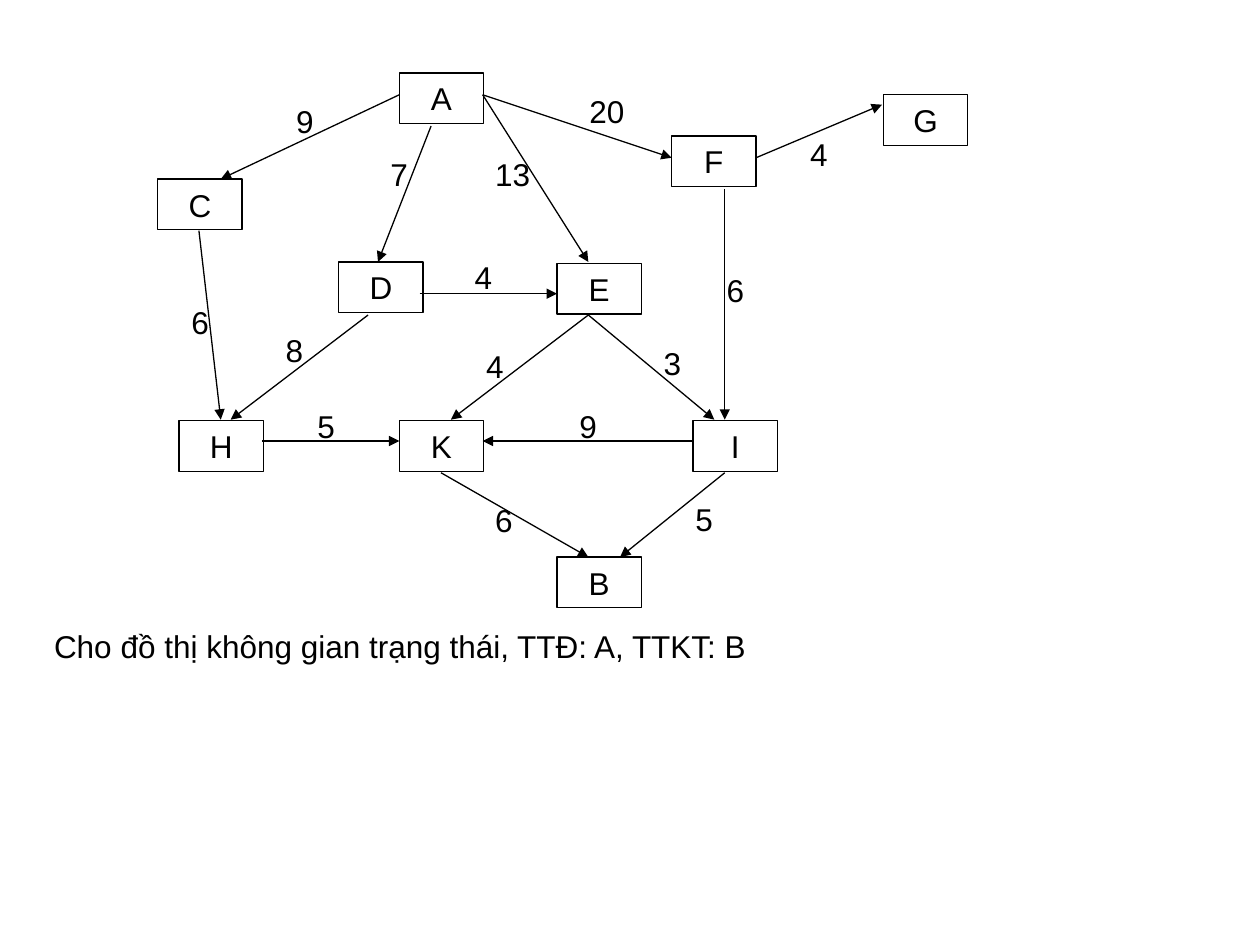
from pptx import Presentation
from pptx.dml.color import RGBColor
from pptx.enum.shapes import MSO_CONNECTOR as Connector, MSO_SHAPE as Shape
from pptx.enum.text import MSO_AUTO_SIZE as AutoSize, PP_ALIGN as Align
from pptx.oxml.ns import qn
from pptx.util import Cm, Pt
from lxml.etree import SubElement

COLORS = {"ink": "000000"}
FONT = {"name": "Arial", "size": Pt(18)}
FRAME = {
    "word_wrap": True,
    "auto_size": AutoSize.SHAPE_TO_FIT_TEXT,
    "margin_top": Cm(0.13),
    "margin_bottom": Cm(0.13),
}
NODE_FRAME = {**FRAME, "margin_left": 0, "margin_right": 0}
LABEL_FRAME = {**FRAME, "margin_left": Cm(0.25), "margin_right": Cm(0.25)}
NODE_WIDTH, WEIGHT_WIDTH, ROW_HEIGHT = 1.7, 1.27, 1.02

STATES = {
    "A": (8.05, 1.47),
    "C": (3.18, 3.61),
    "D": (6.83, 5.28),
    "E": (11.23, 5.31),
    "F": (13.54, 2.74),
    "G": (17.81, 1.91),
    "H": (3.61, 8.48),
    "K": (8.05, 8.48),
    "I": (13.97, 8.48),
    "B": (11.23, 11.23),
}

# start, end, weight, weight position
EDGES = [
    ((14.61, 9.53), (12.5, 11.23), "5", (13.77, 9.96)),
    ((8.89, 9.53), (11.86, 11.23), "6", (9.73, 9.98)),
    ((13.97, 8.89), (9.73, 8.89), "9", (11.43, 8.08)),
    ((11.86, 6.35), (9.09, 8.46), "4", (9.55, 6.86)),
    ((11.86, 6.35), (14.4, 8.46), "3", (13.13, 6.81)),
    ((5.28, 8.89), (8.05, 8.89), "5", (6.15, 8.08)),
    ((7.42, 6.35), (4.65, 8.46), "8", (5.51, 6.55)),
    ((8.46, 5.92), (11.23, 5.92), "4", (9.32, 5.08)),
    ((4.01, 4.65), (4.45, 8.46), "6", (3.61, 5.97)),
    ((8.05, 1.91), (4.45, 3.61), "9", (5.72, 1.93)),
    ((8.69, 2.54), (7.62, 5.28), "7", (7.62, 3)),
    ((9.73, 1.91), (11.86, 5.28), "13", (9.73, 3)),
    ((9.73, 1.91), (13.54, 3.18), "20", (11.63, 1.73)),
    ((15.24, 3.18), (17.78, 2.11), "4", (16.08, 2.59)),
    ((14.61, 3.81), (14.61, 8.46), "6", (14.4, 5.33)),
]


def apply(target, formats):
    for name, value in formats.items():
        setattr(target, name, value)


def ink():
    return RGBColor.from_string(COLORS["ink"])


def write(frame, words, formats, align):
    apply(frame, formats)
    paragraph = frame.paragraphs[0]
    paragraph.text = words
    paragraph.alignment = align
    apply(paragraph.font, FONT)
    paragraph.font.color.rgb = ink()


def draw_line(line):
    line.color.rgb = ink()
    line.width = Pt(0.75)


def add_state(slide, name, position):
    state = slide.shapes.add_shape(
        Shape.RECTANGLE, *map(Cm, (*position, NODE_WIDTH, ROW_HEIGHT))
    )
    state.shadow.inherit = False
    state.fill.background()
    draw_line(state.line)
    write(state.text_frame, name, NODE_FRAME, Align.CENTER)


def add_arrow(slide, start, end):
    arrow = slide.shapes.add_connector(Connector.STRAIGHT, *map(Cm, (*start, *end)))
    draw_line(arrow.line)
    SubElement(arrow.line._get_or_add_ln(), qn("a:tailEnd"), type="triangle")
    SubElement(arrow._element.spPr, qn("a:effectLst"))


def add_label(slide, words, position, width):
    label = slide.shapes.add_textbox(*map(Cm, (*position, width, ROW_HEIGHT)))
    write(label.text_frame, words, LABEL_FRAME, Align.LEFT)


def main():
    deck = Presentation()
    deck.slide_width, deck.slide_height = Cm(25.4), Cm(19.05)
    slide = deck.slides.add_slide(deck.slide_layouts[6])
    for name, position in STATES.items():
        add_state(slide, name, position)
    for start, end, _, _ in EDGES:
        add_arrow(slide, start, end)
    for _, _, weight, position in EDGES:
        add_label(slide, weight, position, WEIGHT_WIDTH)
    add_label(
        slide, "Cho đồ thị không gian trạng thái, TTĐ: A, TTKT: B", (0.84, 12.52), 23.5
    )
    deck.save("out.pptx")


if __name__ == "__main__":
    main()
